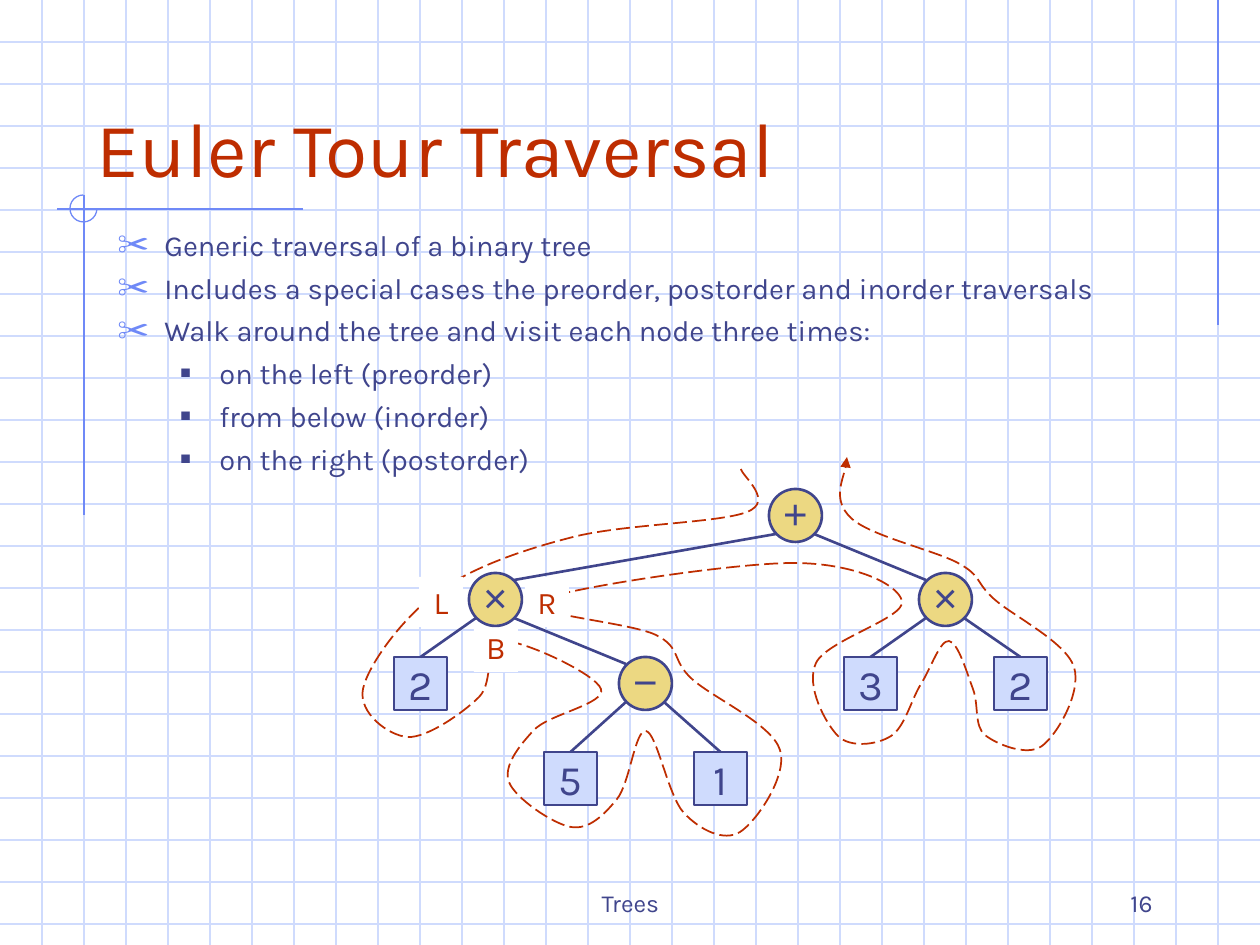
from dataclasses import dataclass
from itertools import pairwise

from lxml import etree
from pptx import Presentation
from pptx.dml.color import RGBColor
from pptx.enum.dml import MSO_LINE
from pptx.enum.shapes import MSO_CONNECTOR, MSO_SHAPE
from pptx.enum.text import MSO_ANCHOR, PP_ALIGN
from pptx.oxml.ns import qn
from pptx.util import Pt

STRAIGHT = MSO_CONNECTOR.STRAIGHT
ARC, OVAL, RECTANGLE = MSO_SHAPE.ARC, MSO_SHAPE.OVAL, MSO_SHAPE.RECTANGLE
TOP, MIDDLE, BOTTOM = MSO_ANCHOR.TOP, MSO_ANCHOR.MIDDLE, MSO_ANCHOR.BOTTOM
LEFT, CENTER, RIGHT = PP_ALIGN.LEFT, PP_ALIGN.CENTER, PP_ALIGN.RIGHT
LONG_DASH = MSO_LINE.LONG_DASH

EMU_PER_PX = 914400 / 126
WIDTH, HEIGHT, GRID = 1260, 945, 42
NODE, HALF, DIAGONAL = 53, 26, 19
FIRST_COLUMN, COLUMN_STEP = 420, 75
ROWS = [515, 599, 683, 778]
VISIT_WIDTH, VISIT_HEIGHT = 44, 50


@dataclass(frozen=True)
class Theme:
    ink: str = "40458C"
    accent: str = "BE2D00"
    rule: str = "6F89F7"
    pale: str = "CFDBFD"
    gold: str = "ECD882"
    white: str = "FFFFFF"
    font: str = "Karla"
    symbol_font: str = "Arial"
    title: float = 44
    node: float = 24
    label: float = 18
    body: float = 16.6
    footer: float = 14
    thin: float = 0.75
    tour: float = 1
    thick: float = 1.5


@dataclass(frozen=True)
class Node:
    text: str
    column: int
    row: int
    on_left: tuple
    from_below: tuple
    on_right: tuple
    children: tuple = ()

    @property
    def center(self):
        return FIRST_COLUMN + COLUMN_STEP * self.column, ROWS[self.row]

    def beside(self, offsets):
        x, y = self.center
        return [(x + across, y + down) for across, down in offsets]


THEME = Theme()
BULLETS = {
    "main": {"marL": 47, "indent": -47, "color": THEME.rule, "size": 110, "char": "✂"},
    "sub": {"marL": 102, "indent": -39, "color": THEME.ink, "size": 60, "char": "■"},
}
BODY = [
    ("main", "Generic traversal of a binary tree"),
    ("main", "Includes a special cases the preorder, postorder and inorder traversals"),
    ("main", "Walk around the tree and visit each node three times:"),
    ("sub", "on the left (preorder)"),
    ("sub", "from below (inorder)"),
    ("sub", "on the right (postorder)"),
]
VISITS = {"L": (-54, 3), "B": (1, 48), "R": (52, 3)}

LEFT_TWO = Node("2", 0, 2, [(-57, 6)], [(-12, 54)], [(59, 14)])
FIVE = Node("5", 2, 3, [(-61, 4)], [(1, 49)], [(47, 21)])
ONE = Node("1", 4, 3, [(-36, 35)], [(20, 54)], [(60, -28)])
THREE = Node("3", 6, 2, [(-54, -20)], [(-32, 53), (21, 53)], [(51, 1)])
RIGHT_TWO = Node("2", 8, 2, [(-47, 6)], [(-35, 52), (22, 63)], [(54, -16)])
MINUS = Node("−", 3, 2, [(-44, 6), (-111, 47)], [(1, 48)], [(47, -4), (11, -48)], (FIVE, ONE))
LEFT_TIMES = Node("×", 1, 1, [(-57, -7)], [(8, 42)], [(43, 2)], (LEFT_TWO, MINUS))
RIGHT_TIMES = Node("×", 7, 1, [(-43, 2)], [(4, 42)], [(49, 0), (13, -36)], (THREE, RIGHT_TWO))
ROOT = Node("+", 5, 0, [(-54, -46), (-48, -3), (-222, 22)], [(-2, 48)],
            [(56, 3), (52, -58)], (LEFT_TIMES, RIGHT_TIMES))
OPERATORS = [ROOT, RIGHT_TIMES, MINUS, LEFT_TIMES]
LEAVES = [LEFT_TWO, FIVE, ONE, THREE, RIGHT_TWO]


def px(*lengths):
    return [round(length * EMU_PER_PX) for length in lengths]


def assign(target, values):
    for name, value in values.items():
        setattr(target, name, value)


def style_line(line, color, width):
    line.color.rgb = RGBColor.from_string(color)
    line.width = Pt(width)


def style_shape(shape, fill=None, line=None):
    shape.shadow.inherit = False
    if fill:
        shape.fill.solid()
        shape.fill.fore_color.rgb = RGBColor.from_string(fill)
    else:
        shape.fill.background()
    if line:
        style_line(shape.line, *line)
    else:
        shape.line.fill.background()


def write(paragraph, text, size, color=THEME.ink, font=THEME.font, align=LEFT):
    paragraph.text = text
    paragraph.alignment = align
    assign(paragraph.font, {"name": font, "size": Pt(size)})
    paragraph.font.color.rgb = RGBColor.from_string(color)


def add_text(slide, box, text, size, **style):
    frame = slide.shapes.add_textbox(*px(*box)).text_frame
    assign(frame, {"word_wrap": True, "vertical_anchor": BOTTOM})
    write(frame.paragraphs[0], text, size, **style)


def add_bullet(paragraph, marL, indent, color, size, char):
    properties = paragraph._p.get_or_add_pPr()
    for name, length in {"marL": marL, "indent": indent}.items():
        properties.set(name, str(px(length)[0]))
    bullet_color = etree.SubElement(properties, qn("a:buClr"))
    etree.SubElement(bullet_color, qn("a:srgbClr"), val=color)
    etree.SubElement(properties, qn("a:buSzPct"), val=str(size * 1000))
    etree.SubElement(properties, qn("a:buFont"), typeface=THEME.symbol_font)
    etree.SubElement(properties, qn("a:buChar"), char=char)


def add_body(slide):
    frame = slide.shapes.add_textbox(*px(105, 221, 1092, 294)).text_frame
    frame.word_wrap = True
    for index, (level, text) in enumerate(BODY):
        paragraph = frame.add_paragraph() if index else frame.paragraphs[0]
        add_bullet(paragraph, **BULLETS[level])
        paragraph.space_before = Pt(4.5 if index else 0)
        write(paragraph, text, THEME.body)


def add_line(slide, start, end, color, width):
    connector = slide.shapes.add_connector(STRAIGHT, *px(*start, *end))
    style_line(connector.line, color, width)
    etree.SubElement(connector._element.spPr, qn("a:effectLst"))
    return connector


def add_background(slide):
    for y in range(GRID, HEIGHT, GRID):
        add_line(slide, (0, y), (WIDTH, y), THEME.pale, THEME.thin)
    for x in range(GRID, WIDTH, GRID):
        add_line(slide, (x, 0), (x, HEIGHT), THEME.pale, THEME.thin)
    for start, end in [((1218, 0), (1218, 325)), ((303, 209), (57, 209)), ((84, 195), (84, 515))]:
        add_line(slide, start, end, THEME.rule, THEME.thin)
    arc = slide.shapes.add_shape(ARC, *px(70, 195, 27, 27))
    arc.adjustments[0], arc.adjustments[1] = 0, 162
    style_shape(arc, line=(THEME.rule, THEME.thin))


def add_node(slide, node, kind, fill, font, margins):
    x, y = node.center
    shape = slide.shapes.add_shape(kind, *px(x - HALF, y - HALF, NODE, NODE))
    style_shape(shape, fill, (THEME.ink, THEME.thick))
    assign(shape.text_frame, {"word_wrap": False, "vertical_anchor": MIDDLE} | margins)
    write(shape.text_frame.paragraphs[0], node.text, THEME.node, font=font, align=CENTER)
    return shape


def add_operator(slide, node):
    margins = {"margin_left": 0, "margin_right": 0, "margin_top": 0}
    add_node(slide, node, OVAL, THEME.gold, THEME.symbol_font, margins)


def add_edges(slide, leaf_shapes, touching_left_times):
    for parent in OPERATORS:
        for child in parent.children:
            if (LEFT_TIMES in (parent, child)) != touching_left_times:
                continue
            (x, y), (child_x, child_y) = parent.center, child.center
            reach = DIAGONAL if child_x > x else -DIAGONAL
            start, end = (x + reach, y + DIAGONAL), (child_x - reach, child_y - DIAGONAL)
            connector = add_line(slide, start, end, THEME.ink, THEME.thick)
            if child in LEAVES:
                connector.end_connect(leaf_shapes[LEAVES.index(child)], 0)


def euler_tour(node):
    yield from node.beside(node.on_left)
    for child in node.children[:1]:
        yield from euler_tour(child)
    yield from node.beside(node.from_below)
    for child in node.children[1:]:
        yield from euler_tour(child)
    yield from node.beside(node.on_right)


def smooth_curve(points):
    padded = [points[0], *points, points[-1]]
    tangents = [((after[0] - before[0]) / 6, (after[1] - before[1]) / 6)
                for before, after in zip(padded, padded[2:])]
    for ((x, y), (dx, dy)), ((next_x, next_y), (next_dx, next_dy)) in pairwise(zip(points, tangents)):
        yield from [(x + dx, y + dy), (next_x - next_dx, next_y - next_dy), (next_x, next_y)]


def add_tour(slide):
    points = list(euler_tour(ROOT))
    builder = slide.shapes.build_freeform(*points[0], scale=EMU_PER_PX)
    builder.add_line_segments(smooth_curve(points), close=False)
    shape = builder.convert_to_shape()
    style_shape(shape, line=(THEME.accent, THEME.tour))
    shape.line.dash_style = LONG_DASH
    etree.SubElement(shape.line._get_or_add_ln(), qn("a:tailEnd"), type="triangle")
    segments = list(shape._element.spPr.iter(qn("a:lnTo")))
    for first in range(0, len(segments), 3):
        curve = etree.Element(qn("a:cubicBezTo"))
        segments[first].addprevious(curve)
        for segment in segments[first:first + 3]:
            curve.append(segment[0])
            segment.getparent().remove(segment)


def add_visits(slide):
    for text, (x, y) in zip(VISITS, LEFT_TIMES.beside(VISITS.values())):
        box = (x - VISIT_WIDTH // 2, y - VISIT_HEIGHT // 2, VISIT_WIDTH, VISIT_HEIGHT)
        shape = slide.shapes.add_shape(RECTANGLE, *px(*box))
        style_shape(shape, THEME.white)
        assign(shape.text_frame, {"word_wrap": False, "vertical_anchor": TOP})
        write(shape.text_frame.paragraphs[0], text, THEME.label, THEME.accent, align=CENTER)


def add_tree(slide):
    for node in OPERATORS[:-1]:
        add_operator(slide, node)
    leaf_shapes = [add_node(slide, leaf, RECTANGLE, THEME.pale, THEME.font, {}) for leaf in LEAVES]
    add_edges(slide, leaf_shapes, touching_left_times=False)
    add_tour(slide)
    add_visits(slide)
    add_edges(slide, leaf_shapes, touching_left_times=True)
    add_operator(slide, LEFT_TIMES)


def main():
    presentation = Presentation()
    presentation.slide_width, presentation.slide_height = px(WIDTH, HEIGHT)
    slide = presentation.slides.add_slide(presentation.slide_layouts[6])
    add_background(slide)
    add_text(slide, (431, 861, 399, 63), "Trees", THEME.footer, align=CENTER)
    add_text(slide, (903, 861, 262, 63), "16", THEME.footer, align=RIGHT)
    add_text(slide, (84, 42, 1071, 157), "Euler Tour Traversal", THEME.title, color=THEME.accent)
    add_body(slide)
    add_tree(slide)
    presentation.save("out.pptx")


if __name__ == "__main__":
    main()
